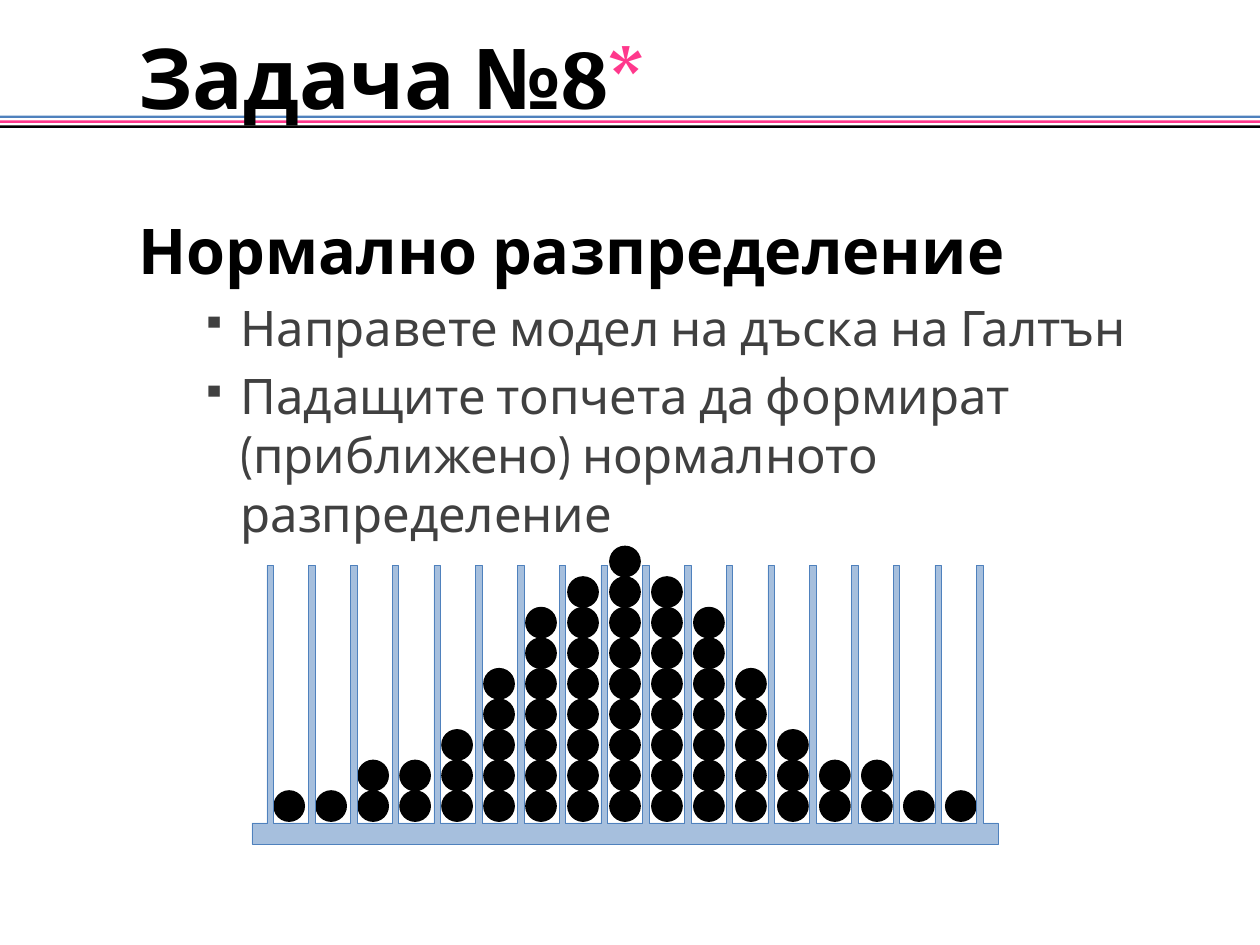
import pptx
import pptx.dml.color
import pptx.enum.shapes
import pptx.enum.text
import pptx.oxml
import pptx.oxml.ns
import pptx.util
from pptx.util import Cm

COLORS = {
    "blue": "4F81BD",
    "pink": "FF388C",
    "black": "000000",
    "grey": "404040",
}
SHAPES = pptx.enum.shapes.MSO_SHAPE
ANCHOR = pptx.enum.text.MSO_ANCHOR


def rgb(name):
    return pptx.dml.color.RGBColor.from_string(COLORS[name])


def add_xml(parent, tag, **attrs):
    child = pptx.oxml.parse_xml(f"<a:{tag} {pptx.oxml.ns.nsdecls('a')}/>")
    for key, value in attrs.items():
        child.set(key, value)
    parent.append(child)
    return child


class Deck:
    """Holds the style and the current slide."""

    font = "Cabin"

    def __init__(self, width, height):
        self.prs = pptx.Presentation()
        self.prs.slide_width, self.prs.slide_height = Cm(width), Cm(height)
        self.s = self.prs.slides.add_slide(self.prs.slide_layouts[6])

    def style(self, font, size, color, bold=False, name=None):
        font.name, font.size, font.bold = name or self.font, pptx.util.Pt(size), bold
        font.color.rgb = rgb(color)

    def shape(self, kind, x, y, w, h, color):
        sp = self.s.shapes.add_shape(kind, Cm(x), Cm(y), Cm(w), Cm(h))
        sp.shadow.inherit = False
        sp.fill.solid()
        sp.fill.fore_color.rgb = rgb(color)
        sp.line.fill.background()

    def text(self, x, y, w, h, anchor=ANCHOR.TOP, inset=0.25):
        tf = self.s.shapes.add_textbox(Cm(x), Cm(y), Cm(w), Cm(h)).text_frame
        tf.word_wrap = True
        tf.vertical_anchor = anchor
        tf.margin_left = Cm(inset)
        return tf

    def runs(self, p, size, parts, bold=False):
        for text, color, name in parts:
            r = p.add_run()
            r.text = text
            self.style(r.font, size, color, bold, name)

    def paragraph(self, p, text, size, color, bold=False):
        p.text = text
        p.space_before = pptx.util.Pt(size * 0.2)
        self.style(p.font, size, color, bold)

    def bullet(self, p, text, size, color):
        pPr = p._p.get_or_add_pPr()
        pPr.set("marL", str(Cm(2.06)))
        pPr.set("indent", str(-Cm(0.79)))
        add_xml(add_xml(pPr, "buClr"), "srgbClr", val=COLORS[color])
        add_xml(pPr, "buSzPct", val="70000")
        add_xml(pPr, "buChar", char="▪")
        self.paragraph(p, text, size, color)

    def outline(self, points, color, alpha):
        points = [(Cm(x), Cm(y)) for x, y in points]
        builder = self.s.shapes.build_freeform(*points[0])
        builder.add_line_segments(points[1:], close=True)
        sp = builder.convert_to_shape()
        sp.shadow.inherit = False
        sp.fill.solid()
        sp.fill.fore_color.rgb = rgb(color)
        fill = sp._element.spPr.find(pptx.oxml.ns.qn("a:solidFill"))
        add_xml(fill[0], "alpha", val=str(alpha * 1000))
        sp.line.color.rgb = rgb(color)
        sp.line.width = pptx.util.Pt(0.25)


def main():
    deck = Deck(25.4, 19.05)

    # Header stripes
    for i, color in enumerate(("blue", "pink", "black")):
        deck.shape(SHAPES.RECTANGLE, -0.2, 2.33 + i * 0.1, 25.83, 0.05, color)

    # Title
    tf = deck.text(0, 0.64, 25.4, 1.8, ANCHOR.MIDDLE, inset=2.79)
    deck.runs(tf.paragraphs[0], 48, [("Задача №", "black", None),
                                     ("8", "black", "Cambria"),
                                     ("*", "pink", None)], bold=True)

    # Heading and task list
    tf = deck.text(2.54, 3.38, 22.66, 15.44)
    p = tf.paragraphs[0]
    deck.paragraph(p, "Нормално разпределение", 36, "black", bold=True)
    p.line_spacing = 1.5
    for line in ("Направете модел на дъска на Галтън",
                 "Падащите топчета да формират (приближено) нормалното разпределение"):
        deck.bullet(tf.add_paragraph(), line, 28, "grey")

    # Balls: a symmetric pile, one column per slot
    half = [1, 1, 2, 2, 3, 5, 7, 8]
    counts = half + [9] + half[::-1]
    column_step, row_step = 13.54 / 16, 4.93 / 8
    for column, count in enumerate(counts):
        for row in range(count):
            deck.shape(SHAPES.OVAL, 5.51 + column * column_step,
                       15.93 - row * row_step, 0.64, 0.64, "black")

    # Board: a base with a thin wall on each side of every slot
    top, floor, bottom, left, right = 11.4, 16.59, 17.02, 5.08, 20.12
    wall_width, wall_step = 0.13, 14.31 / 17
    points = [(left, bottom), (left, floor)]
    for i in range(len(counts) + 1):
        x = 5.38 + i * wall_step
        points += [(x, floor), (x, top), (x + wall_width, top), (x + wall_width, floor)]
    points += [(right, floor), (right, bottom)]
    deck.outline(points, "blue", alpha=50)

    deck.prs.save("out.pptx")


if __name__ == "__main__":
    main()
